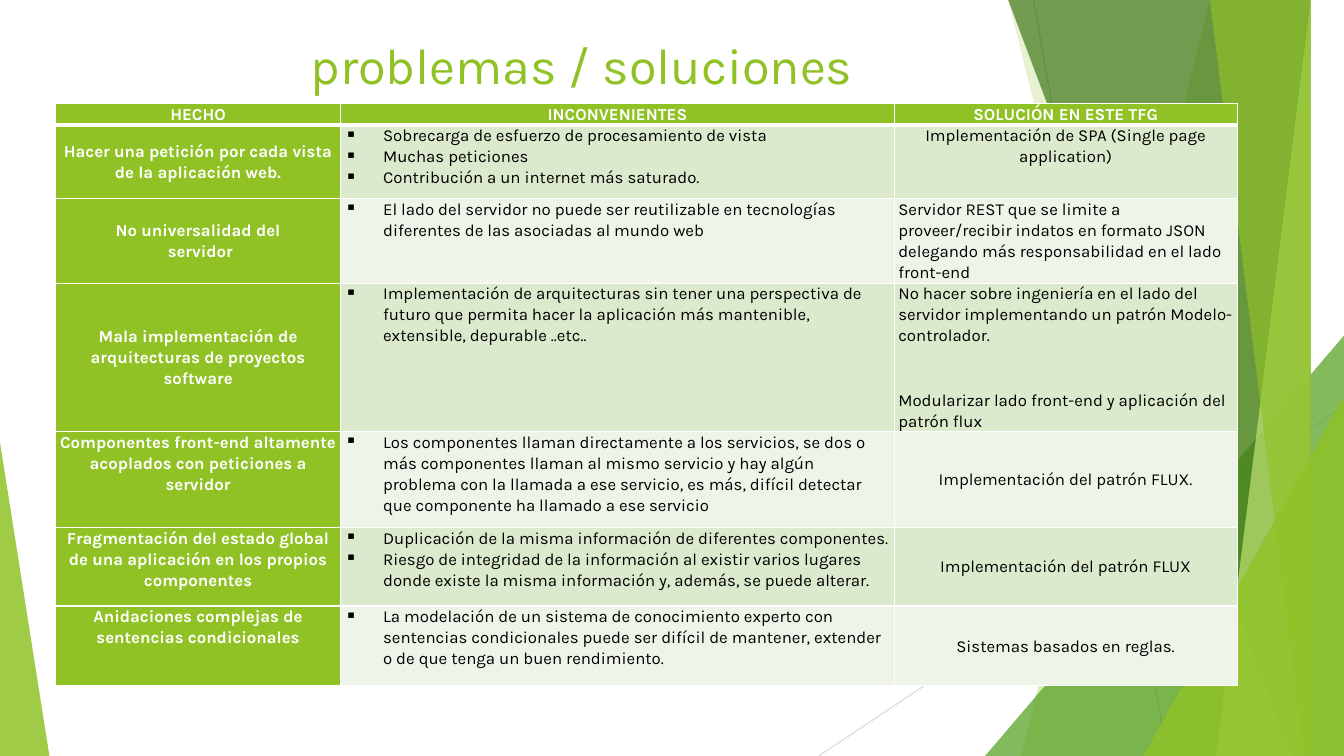
from lxml import etree
from pptx import Presentation
from pptx.dml.color import RGBColor
from pptx.enum.shapes import MSO_CONNECTOR, MSO_SHAPE
from pptx.enum.text import MSO_ANCHOR, MSO_AUTO_SIZE, PP_ALIGN
from pptx.oxml.ns import qn
from pptx.util import Inches, Pt

STRAIGHT = MSO_CONNECTOR.STRAIGHT
TRIANGLE = MSO_SHAPE.ISOSCELES_TRIANGLE
TOP, MIDDLE = MSO_ANCHOR.TOP, MSO_ANCHOR.MIDDLE
LEFT, CENTER = PP_ALIGN.LEFT, PP_ALIGN.CENTER
FONT = "Karla"
COLORS = {
    "lime": "90C226", "green": "54A021", "forest": "3F7819", "pale": "C0E474",
    "band_dark": "DBE9CD", "band_light": "EEF4E8", "white": "FFFFFF",
    "black": "000000", "line_dark": "BFBFBF", "line_light": "D9D9D9",
}
WIDTH, HEIGHT = 13.33, 7.5


def rgb(name):
    return RGBColor.from_string(COLORS[name])


def add_text(paragraph, text, size, color, bold=False):
    for index, line in enumerate(text.split("\n")):
        if index:
            paragraph.add_line_break()
        run = paragraph.add_run()
        run.text = line
        run.font.name = FONT
        run.font.size = Pt(size)
        run.font.bold = bold
        run.font.color.rgb = rgb(color)


prs = Presentation()
prs.slide_width, prs.slide_height = Inches(WIDTH), Inches(HEIGHT)
slide = prs.slides.add_slide(prs.slide_layouts[5])
shapes = slide.shapes

for x1, y1, x2, y2, color in [
    (10.25, 0, 11.58, HEIGHT, "line_dark"),
    (WIDTH, 4.03, 8.12, HEIGHT, "line_light"),
]:
    ray = shapes.add_connector(STRAIGHT, Inches(x1), Inches(y1), Inches(x2), Inches(y2))
    ray.line.color.rgb = rgb(color)
    ray.line.width = Pt(0.75)
    etree.SubElement(ray._element.spPr, qn("a:effectLst"))

facets = [
    ("band", (12.28, 10.04), "lime", 30),
    ("band", (10.5, 11.83), "lime", 20),
    ("triangle", (9.77, 3.33, 3.56, 1), "green", 72),
    ("band", (10.21, 12.91), "forest", 70),
    ("band", (13.03, 11.92), "pale", 70),
    ("band", (11.96, 13.18), "lime", 65),
    ("triangle", (11.34, 3.93, 1.99, 1), "lime", 80),
    ("triangle", (0, 4.39, 0.49, 0), "lime", 85),
]
for kind, geometry, color, opacity in facets:
    if kind == "band":
        top_x, bottom_x = geometry
        outline = shapes.build_freeform(top_x, -0.01, scale=Inches(1))
        outline.add_line_segments([(WIDTH, -0.01), (WIDTH, HEIGHT), (bottom_x, HEIGHT)])
        facet = outline.convert_to_shape()
    else:
        left, top, width, apex = geometry
        facet = shapes.add_shape(TRIANGLE, Inches(left), Inches(top),
                                 Inches(width), Inches(HEIGHT - top))
        facet.adjustments[0] = apex
    facet.shadow.inherit = False
    facet.line.fill.background()
    facet.fill.solid()
    facet.fill.fore_color.rgb = rgb(color)
    fill_color = facet._element.spPr.find(".//" + qn("a:srgbClr"))
    etree.SubElement(fill_color, qn("a:alpha"), val=str(opacity * 1000))

title = shapes.title
title._element.getparent().append(title._element)
title.left, title.top = Inches(1.07), Inches(0.29)
title.width, title.height = Inches(9.4), Inches(1.44)
title.text_frame.auto_size = MSO_AUTO_SIZE.NONE
title.text_frame.vertical_anchor = TOP
title.text_frame.paragraphs[0].alignment = CENTER
add_text(title.text_frame.paragraphs[0], "problemas / soluciones", 36, "lime")

headings = ["HECHO", "INCONVENIENTES", "SOLUCIÓN EN ESTE TFG"]
problems = [
    ("Hacer una petición por cada vista de la aplicación web.", MIDDLE,
     ["Sobrecarga de esfuerzo de procesamiento de vista",
      "Muchas peticiones",
      "Contribución a un internet más saturado."],
     ["Implementación de SPA (Single page application)"], TOP, CENTER),
    ("No universalidad del\n servidor", MIDDLE,
     ["El lado del servidor no puede ser reutilizable en tecnologías diferentes "
      "de las asociadas al mundo web"],
     ["Servidor REST que se limite a proveer/recibir indatos en formato JSON "
      "delegando más responsabilidad en el lado front-end"], TOP, LEFT),
    ("Mala implementación de arquitecturas de proyectos software", MIDDLE,
     ["Implementación de arquitecturas sin tener una perspectiva de futuro que permita "
      "hacer la aplicación más mantenible, extensible, depurable ..etc.."],
     ["No hacer sobre ingeniería en el lado del servidor implementando un patrón "
      "Modelo-controlador.",
      "Modularizar lado front-end y aplicación del patrón flux"], TOP, LEFT),
    ("Componentes front-end altamente acoplados con peticiones a servidor", TOP,
     ["Los componentes llaman directamente a los servicios, se dos o más componentes "
      "llaman al mismo servicio y hay algún problema con la llamada a ese servicio, es más, "
      "difícil detectar que componente ha llamado a ese servicio"],
     ["Implementación del patrón FLUX."], MIDDLE, CENTER),
    ("Fragmentación del estado global de una aplicación en los propios componentes", TOP,
     ["Duplicación de la misma información de diferentes componentes.",
      "Riesgo de integridad de la información al existir varios lugares donde existe la "
      "misma información y, además, se puede alterar."],
     ["Implementación del patrón FLUX"], MIDDLE, CENTER),
    ("Anidaciones complejas de sentencias condicionales", TOP,
     ["La modelación de un sistema de conocimiento experto con sentencias condicionales "
      "puede ser difícil de mantener, extender o de que tenga un buen rendimiento."],
     ["Sistemas basados en reglas."], MIDDLE, CENTER),
]
column_widths = [2.83, 5.49, 3.4]
row_heights = [0.21, 0.73, 0.84, 1.47, 0.95, 0.78, 0.79]

table = shapes.add_table(len(row_heights), len(column_widths), Inches(0.55), Inches(1.03),
                         Inches(sum(column_widths)), Inches(sum(row_heights))).table
for column, width in zip(table.columns, column_widths):
    column.width = Inches(width)
for row, height in zip(table.rows, row_heights):
    row.height = Inches(height)

grid = [[([heading], TOP, CENTER) for heading in headings]]
for fact, fact_anchor, drawbacks, solutions, anchor, alignment in problems:
    grid.append([([fact], fact_anchor, CENTER), (drawbacks, TOP, LEFT),
                 (solutions, anchor, alignment)])

for r, entries in enumerate(grid):
    for c, (texts, anchor, alignment) in enumerate(entries):
        cell = table.cell(r, c)
        strong = r == 0 or c == 0
        bulleted = r > 0 and c == 1
        cell.margin_left = cell.margin_right = Inches(0.04)
        cell.margin_top = cell.margin_bottom = 0
        cell.vertical_anchor = anchor
        cell.fill.solid()
        band = "band_dark" if r % 2 else "band_light"
        cell.fill.fore_color.rgb = rgb("lime" if strong else band)

        for index, text in enumerate(texts):
            frame = cell.text_frame
            paragraph = frame.add_paragraph() if index else frame.paragraphs[0]
            paragraph.alignment = alignment
            paragraph.line_spacing = 1.07
            last = index == len(texts) - 1
            paragraph.space_after = Pt(8 if last else 0 if bulleted else 31)
            if bulleted:
                properties = paragraph._p.get_or_add_pPr()
                properties.set("marL", str(Inches(0.38)))
                properties.set("indent", str(-Inches(0.38)))
                etree.SubElement(properties, qn("a:buChar"), char="▪")
            add_text(paragraph, text, 12, "white" if strong else "black", strong)

        cell_properties = cell._tc.get_or_add_tcPr()
        for position, side in enumerate(["lnL", "lnR", "lnT", "lnB"]):
            thick = (r, side) in [(0, "lnB"), (1, "lnT")]
            border = etree.Element(qn("a:" + side), w=str(Pt(3 if thick else 1)))
            border_fill = etree.SubElement(border, qn("a:solidFill"))
            etree.SubElement(border_fill, qn("a:srgbClr"), val=COLORS["white"])
            cell_properties.insert(position, border)

prs.save("out.pptx")
